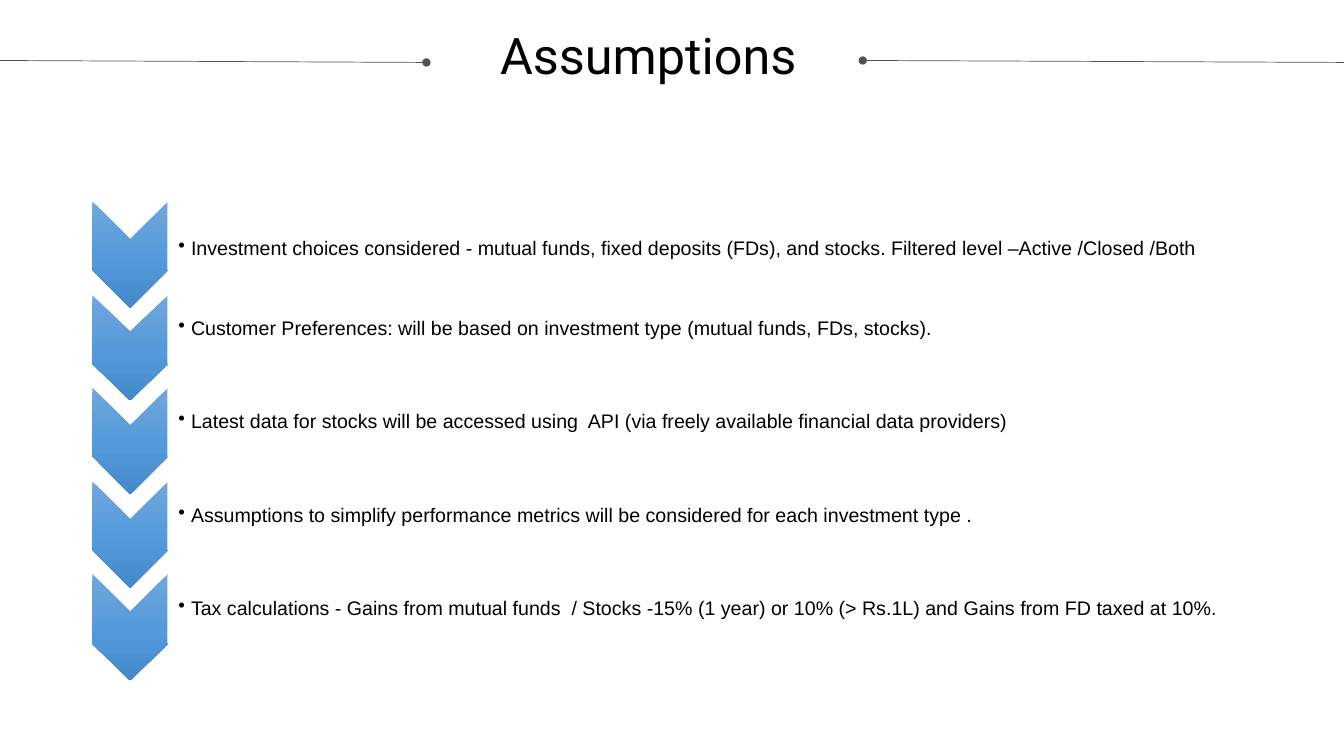
from copy import deepcopy

from pptx import Presentation
from pptx.dml.color import RGBColor
from pptx.enum.shapes import MSO_CONNECTOR, MSO_SHAPE
from pptx.enum.text import MSO_ANCHOR, MSO_AUTO_SIZE, PP_ALIGN
from pptx.oxml.ns import qn
from pptx.oxml.xmlchemy import OxmlElement
from pptx.util import Pt

STRAIGHT = MSO_CONNECTOR.STRAIGHT
RECTANGLE = MSO_SHAPE.RECTANGLE
MIDDLE = MSO_ANCHOR.MIDDLE
LEFT = PP_ALIGN.LEFT
NO_AUTOFIT = MSO_AUTO_SIZE.NONE

# Content
TITLE = "Assumptions"
ASSUMPTIONS = [
    "Investment choices considered - mutual funds, fixed deposits (FDs), and stocks. "
    "Filtered level –Active /Closed /Both",
    "Customer Preferences: will be based on investment type (mutual funds, FDs, stocks).",
    "Latest data for stocks will be accessed using  API (via freely available financial data providers)",
    "Assumptions to simplify performance metrics will be considered for each investment type .",
    "Tax calculations - Gains from mutual funds  / Stocks -15% (1 year) or 10% (> Rs.1L) "
    "and Gains from FD taxed at 10%.",
]
COLORS = {"text": "000000", "panel": "FFFFFF", "rule": "525252"}
CHEVRON_STOPS = [(0, "71A6DB"), (0.5, "559BDB"), (1, "448ACA")]

# Layout in points
SLIDE_WIDTH, SLIDE_HEIGHT = 960, 540
TITLE_BOX = (350, -3.6, 460, 90)
RULES = [  # start x, end x, end that carries the dot
    (616.3, SLIDE_WIDTH, "headEnd"),
    (0, 304.6, "tailEnd"),
]
RULE_START_Y, RULE_END_Y = 43.2, 44.6
FIRST_TOP, ROW_STEP = 144, 66.6
CHEVRON_LEFT, CHEVRON_WIDTH, CHEVRON_HEIGHT = 66, 53.5, 75.9
NOTCH = CHEVRON_WIDTH / 2
PANEL_LEFT = CHEVRON_LEFT + CHEVRON_WIDTH
PANEL_WIDTH, PANEL_HEIGHT = 774.5, CHEVRON_HEIGHT - NOTCH
BULLET_INDENT = 9
FIRST_TEXT_DROP = 19  # the first line sits lower in its panel


def rgb(name):
    return RGBColor.from_string(COLORS[name])


def add_text(paragraph, text, font, size):
    run = paragraph.add_run()
    run.text = text
    run.font.name = font
    run.font.size = Pt(size)
    run.font.color.rgb = rgb("text")
    paragraph.alignment = LEFT
    paragraph.line_spacing = 0.9


def add_chevron(slide, top):
    right, middle = CHEVRON_LEFT + CHEVRON_WIDTH, CHEVRON_LEFT + NOTCH
    shoulder = top + CHEVRON_HEIGHT - NOTCH
    outline = [
        (right, shoulder), (middle, top + CHEVRON_HEIGHT),
        (CHEVRON_LEFT, shoulder), (CHEVRON_LEFT, top), (middle, top + NOTCH),
    ]
    builder = slide.shapes.build_freeform(right, top, scale=Pt(1))
    builder.add_line_segments(outline, close=True)
    shape = builder.convert_to_shape()
    shape.shadow.inherit = False
    shape.line.fill.background()
    shape.fill.gradient()
    shape.fill.gradient_angle = 270
    stop_list = shape._element.spPr.find(qn("a:gradFill")).find(qn("a:gsLst"))
    stop_list.append(deepcopy(stop_list[0]))
    for stop, (position, color) in zip(shape.fill.gradient_stops, CHEVRON_STOPS):
        stop.position = position
        stop.color.rgb = RGBColor.from_string(color)


def add_panel(slide, top, text, drop):
    shape = slide.shapes.add_shape(
        RECTANGLE, Pt(PANEL_LEFT), Pt(top), Pt(PANEL_WIDTH), Pt(PANEL_HEIGHT))
    shape.shadow.inherit = False
    shape.fill.solid()
    shape.fill.fore_color.rgb = rgb("panel")
    shape.line.fill.background()
    frame = shape.text_frame
    frame.word_wrap = True
    frame.vertical_anchor = MIDDLE
    frame.margin_left = Pt(7.9)
    frame.margin_right = frame.margin_bottom = Pt(3)
    frame.margin_top = Pt(3 + drop)
    paragraph = frame.paragraphs[0]
    add_text(paragraph, text, "Arial", 14)
    properties = paragraph._p.get_or_add_pPr()
    properties.set("marL", str(Pt(BULLET_INDENT)))
    properties.set("indent", str(-Pt(BULLET_INDENT)))
    bullet = OxmlElement("a:buChar")
    bullet.set("char", "•")
    properties.append(bullet)


def add_rule(slide, start_x, end_x, dotted_end):
    connector = slide.shapes.add_connector(
        STRAIGHT, Pt(start_x), Pt(RULE_START_Y), Pt(end_x), Pt(RULE_END_Y))
    connector.line.color.rgb = rgb("rule")
    connector.line.width = Pt(0.5)
    dot = OxmlElement("a:" + dotted_end)
    dot.set("type", "oval")
    connector.line._get_or_add_ln().append(dot)
    connector._element.spPr.append(OxmlElement("a:effectLst"))


def main():
    presentation = Presentation()
    presentation.slide_width = Pt(SLIDE_WIDTH)
    presentation.slide_height = Pt(SLIDE_HEIGHT)
    slide = presentation.slides.add_slide(presentation.slide_layouts[5])

    # Chevron list
    for index, text in enumerate(ASSUMPTIONS):
        top = FIRST_TOP + index * ROW_STEP
        add_chevron(slide, top)
        add_panel(slide, top, text, FIRST_TEXT_DROP if index == 0 else 0)

    # Title
    title = slide.shapes.title
    title.left, title.top, title.width, title.height = map(Pt, TITLE_BOX)
    title.text_frame.auto_size = NO_AUTOFIT
    title.text_frame.vertical_anchor = MIDDLE
    add_text(title.text_frame.paragraphs[0], TITLE, "Roboto", 36)

    # Rules beside the title
    for rule in RULES:
        add_rule(slide, *rule)

    presentation.save("out.pptx")


if __name__ == "__main__":
    main()
